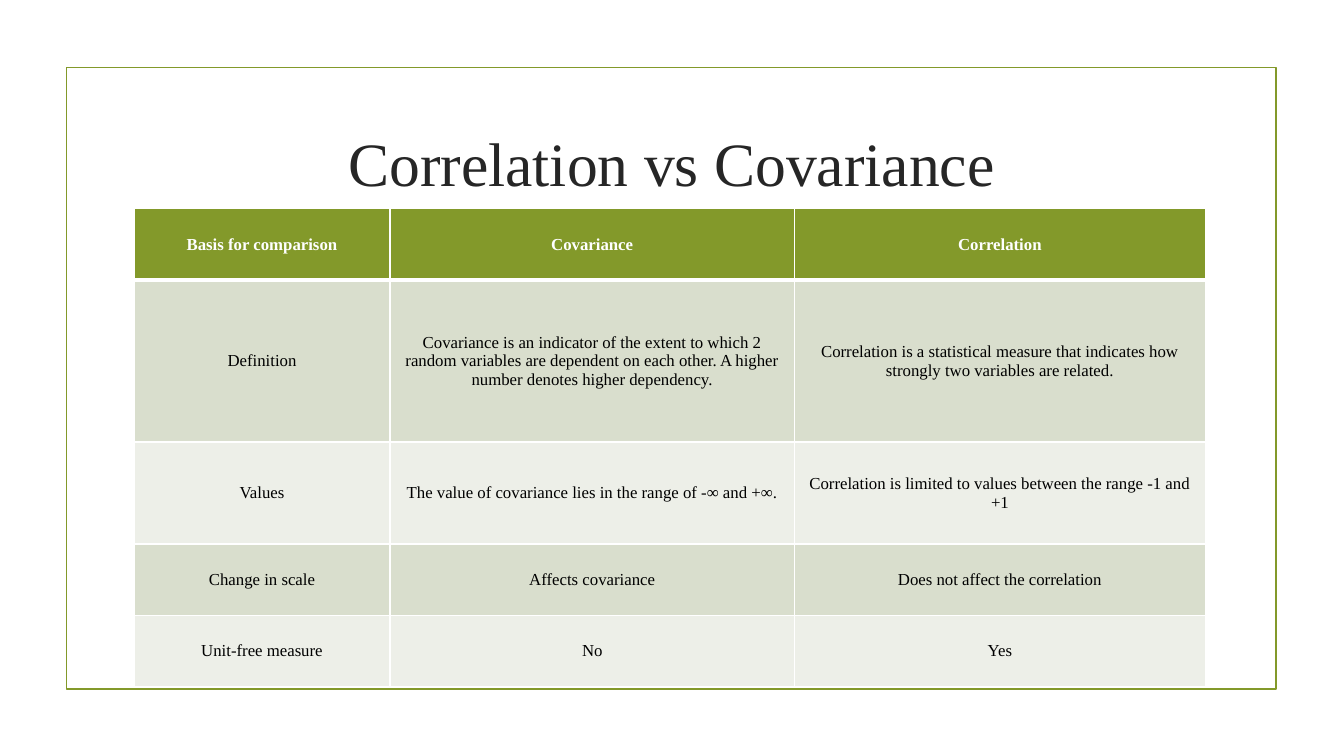
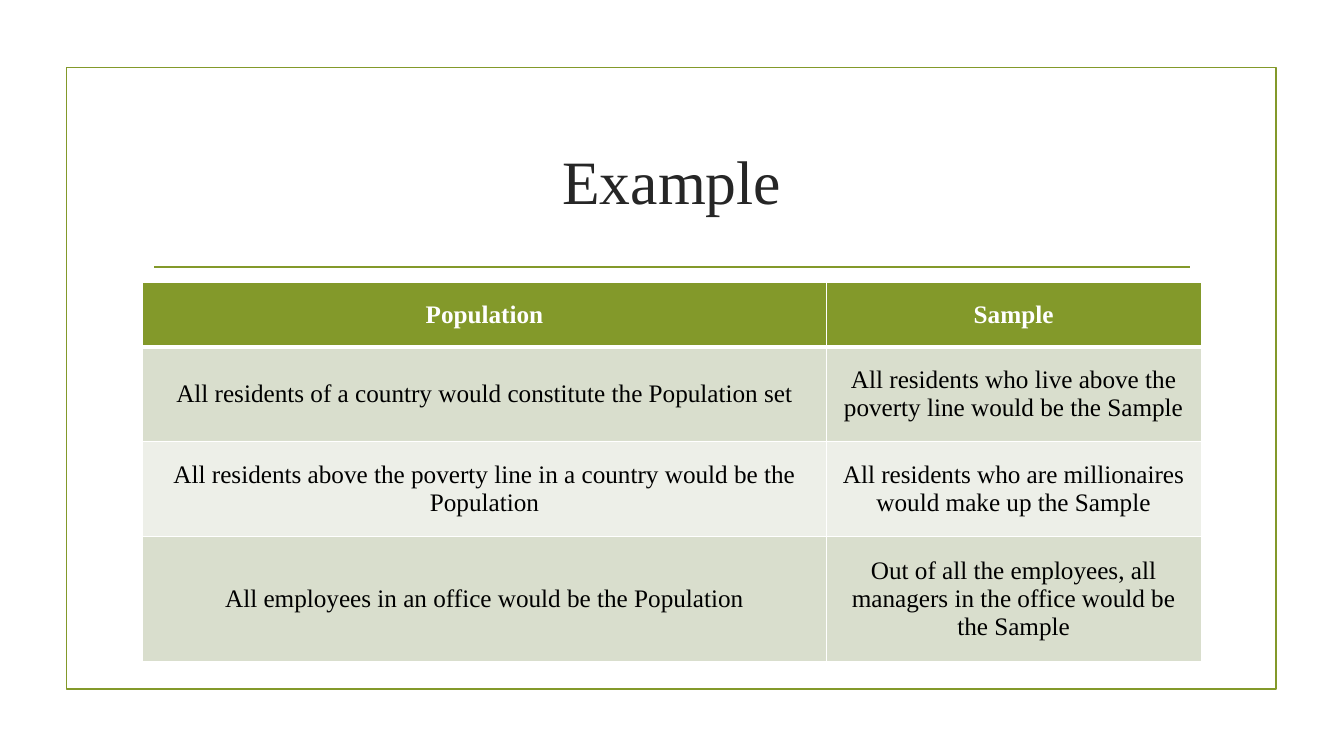
from dataclasses import dataclass

from lxml.etree import SubElement as Sub
from pptx import Presentation
from pptx.dml.color import RGBColor as Rgb
from pptx.enum.shapes import MSO_CONNECTOR as Link, MSO_SHAPE as Shape
from pptx.enum.text import MSO_ANCHOR as Anchor, PP_ALIGN as Align
from pptx.oxml.ns import qn
from pptx.util import Cm, Pt


# Colours and type sizes
@dataclass(frozen=True)
class Theme:
    font: str = "Times New Roman"
    green: str = "83992A"
    dark: str = "262626"
    black: str = "000000"
    white: str = "FFFFFF"
    bands: tuple = ("D9DECD", "EDEFE8")
    title: int = 44
    small: int = 12
    large: int = 18
    line: float = 1.25
    thin: int = 1
    thick: int = 3


THEME = Theme()


def box(*sizes):
    return [Cm(size) for size in sizes]


def style(para, size, color, bold=False):
    para.alignment = Align.CENTER
    font = para.font
    font.name, font.size, font.bold = THEME.font, Pt(size), bold
    font.color.rgb = Rgb.from_string(color)


def stroke(line):
    line.color.rgb = Rgb.from_string(THEME.green)
    line.width = Pt(THEME.line)


# Parts shared by the slides
def add_frame(slide):
    frame = slide.shapes.add_shape(Shape.RECTANGLE, *box(1.68, 1.7, 30.48, 15.67))
    frame.shadow.inherit = False
    frame.fill.background()
    stroke(frame.line)


def add_rule(slide):
    rule = slide.shapes.add_connector(Link.STRAIGHT, *box(3.89, 6.73, 30, 6.73))
    stroke(rule.line)
    Sub(rule._element.spPr, qn("a:effectLst"))


def add_title(slide, text, height):
    frame = slide.shapes.add_textbox(*box(3.6, 2.72, 26.67, height)).text_frame
    frame.word_wrap = True
    frame.vertical_anchor = Anchor.MIDDLE
    frame.text = text
    style(frame.paragraphs[0], THEME.title, THEME.dark)


# Table with a green head and banded rows
def set_edges(cell, top, bottom):
    props = cell._tc.get_or_add_tcPr()
    widths = {"L": THEME.thin, "R": THEME.thin, "T": top, "B": bottom}
    for side, width in widths.items():
        edge = Sub(props, qn(f"a:ln{side}"), w=str(Pt(width)))
        fill = Sub(edge, qn("a:solidFill"))
        Sub(fill, qn("a:srgbClr"), val=THEME.white)


def fill_cell(cell, text, row, size, pads):
    head = row == 0
    cell.text = text
    cell.vertical_anchor = Anchor.MIDDLE
    cell.margin_left = cell.margin_right = Cm(pads[0])
    cell.margin_top = cell.margin_bottom = Cm(pads[1])
    set_edges(cell, THEME.thick if row == 1 else THEME.thin,
              THEME.thick if head else THEME.thin)
    color = THEME.green if head else THEME.bands[(row - 1) % 2]
    cell.fill.solid()
    cell.fill.fore_color.rgb = Rgb.from_string(color)
    style(cell.text_frame.paragraphs[0], size,
          THEME.white if head else THEME.black, head)


def add_grid(slide, left, top, cols, rows, data, size, pads):
    area = box(left, top, sum(cols), sum(rows))
    table = slide.shapes.add_table(len(rows), len(cols), *area).table
    for col, width in zip(table.columns, cols):
        col.width = Cm(width)
    for row, height in zip(table.rows, rows):
        row.height = Cm(height)
    for r, texts in enumerate(data):
        for c, text in enumerate(texts):
            fill_cell(table.cell(r, c), text, r, size, pads)


# Slide content
TERMS = [
    ("Basis for comparison", "Covariance", "Correlation"),
    ("Definition",
     "Covariance is an indicator of the extent to which 2 random variables "
     "are dependent on each other. A higher number denotes higher dependency.",
     "Correlation is a statistical measure that indicates how strongly "
     "two variables are related."),
    ("Values", "The value of covariance lies in the range of -∞ and +∞.",
     "Correlation is limited to values between the range -1 and +1"),
    ("Change in scale", "Affects covariance", "Does not affect the correlation"),
    ("Unit-free measure", "No", "Yes"),
]
CASES = [
    ("Population", "Sample"),
    ("All residents of a country would constitute the Population set",
     "All residents who live above the poverty line would be the Sample"),
    ("All residents above the poverty line in a country would be the Population",
     "All residents who are millionaires would make up the Sample"),
    ("All employees in an office would be the Population",
     "Out of all the employees, all managers in the office would be the Sample"),
]


def add_slide(deck, title, height):
    slide = deck.slides.add_slide(deck.slide_layouts[6])
    add_frame(slide)
    add_title(slide, title, height)
    return slide


def main():
    deck = Presentation()
    deck.slide_width, deck.slide_height = box(33.87, 19.05)

    # Comparison of terms
    slide = add_slide(deck, "Correlation vs Covariance", 2.72)
    add_grid(slide, 3.38, 5.26, (6.45, 10.19, 10.36), (1.8, 4.08, 2.57, 1.8, 1.8),
             TERMS, THEME.small, (0.23, 0.28))

    # Population and sample
    slide = add_slide(deck, "Example", 3.63)
    add_rule(slide)
    add_grid(slide, 3.6, 7.12, (17.22, 9.45), (1.52, 2.26, 2.26, 2.95),
             CASES, THEME.large, (0.3, 0.43))

    deck.save("out.pptx")


if __name__ == "__main__":
    main()
